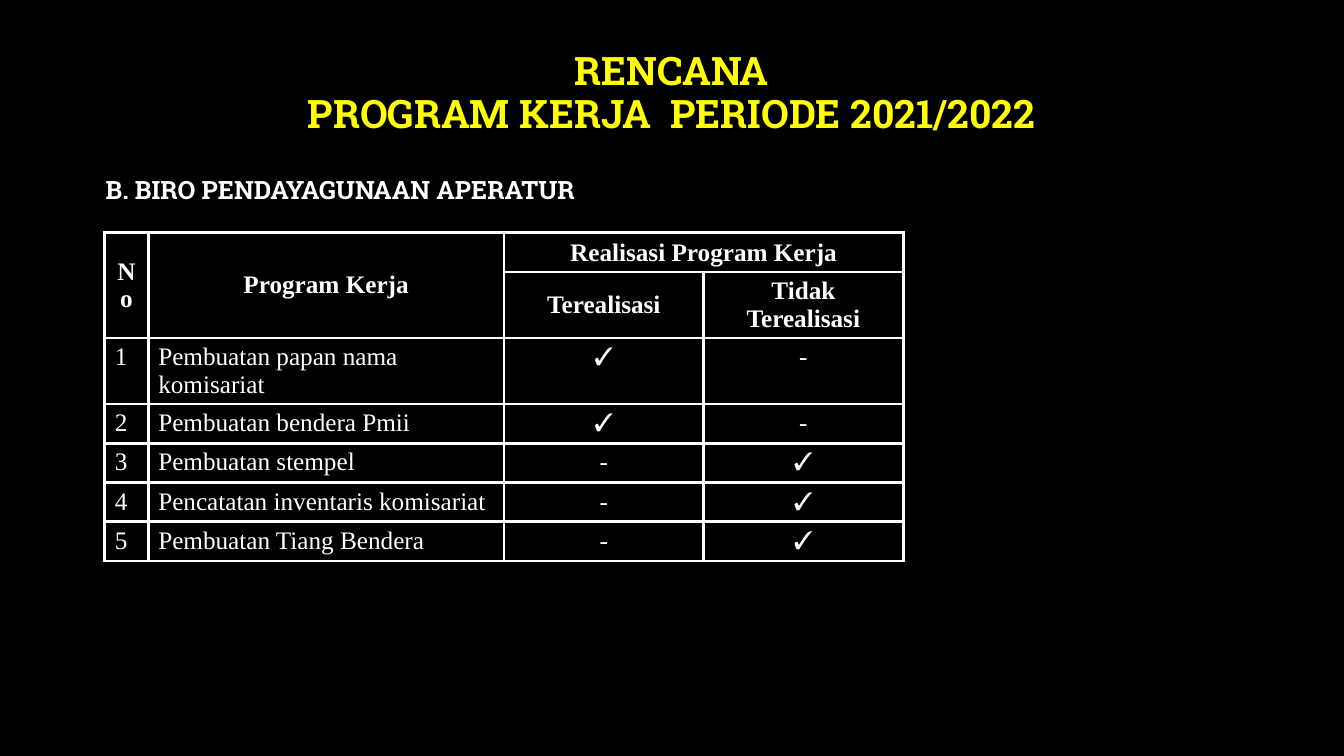
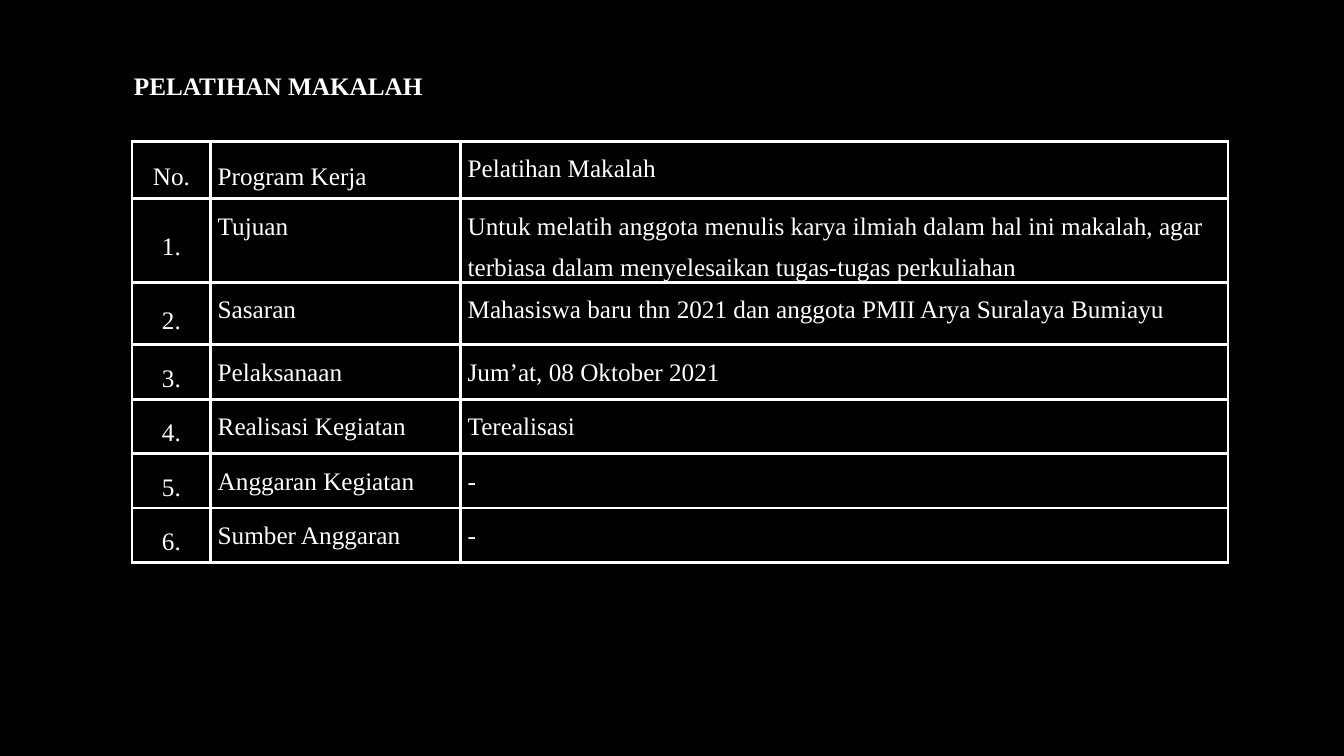
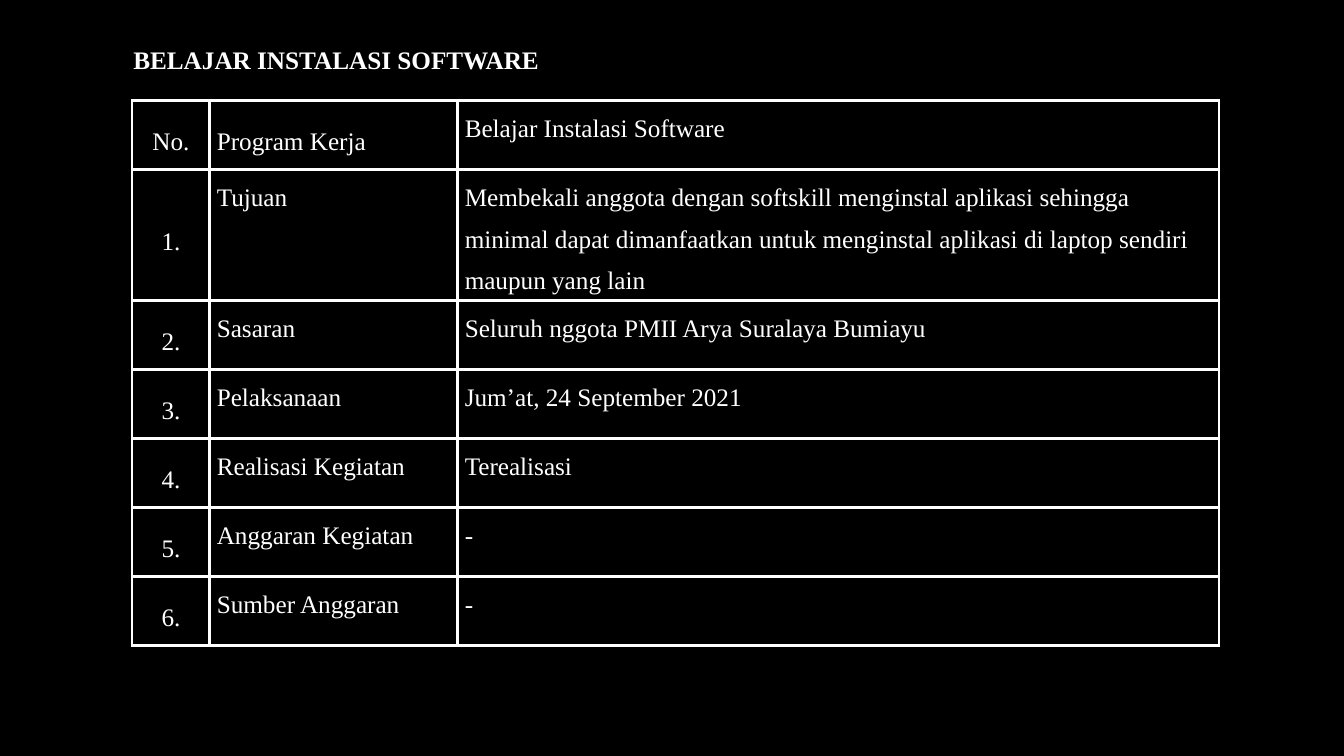
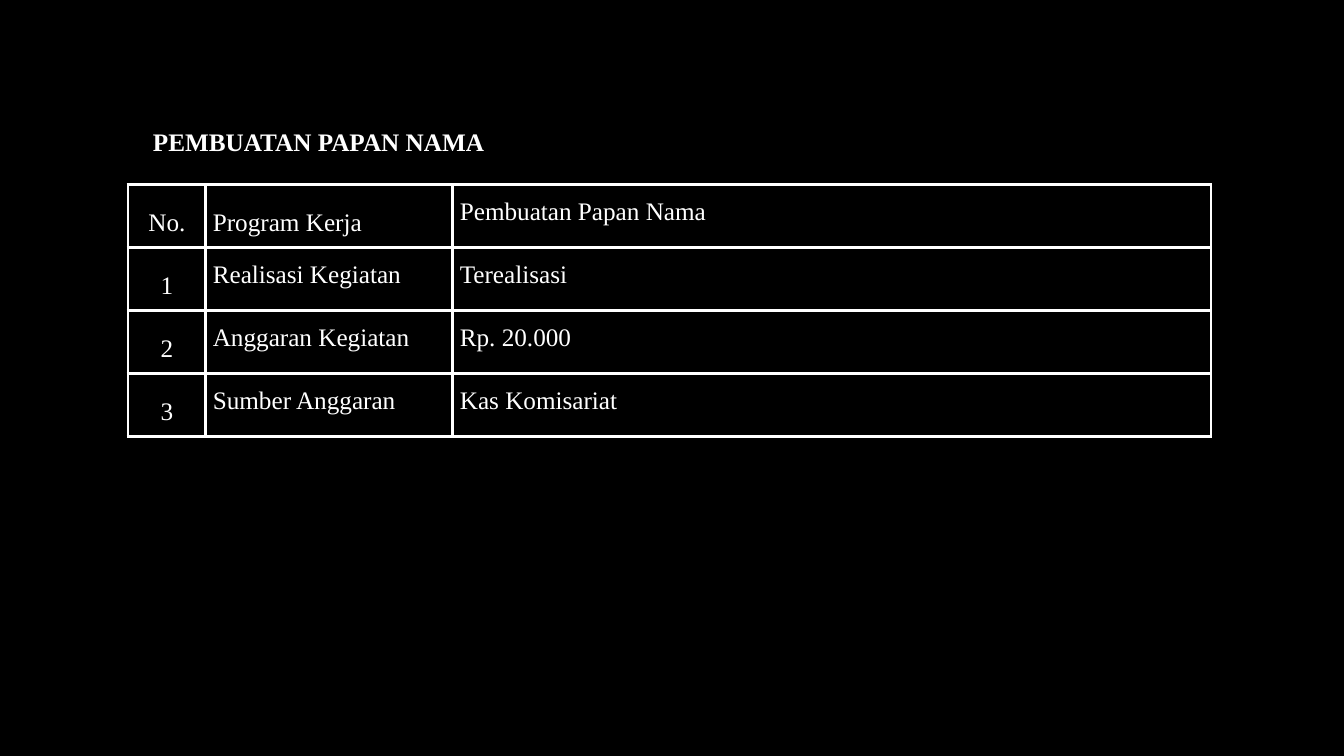
from copy import deepcopy
from dataclasses import dataclass

from lxml import etree
from pptx import Presentation
from pptx.dml.color import RGBColor
from pptx.enum.text import MSO_ANCHOR, MSO_AUTO_SIZE, PP_ALIGN
from pptx.oxml.ns import qn
from pptx.util import Inches, Pt

TOP, MIDDLE = MSO_ANCHOR.TOP, MSO_ANCHOR.MIDDLE
LEFT, CENTER = PP_ALIGN.LEFT, PP_ALIGN.CENTER
NO_FIT = MSO_AUTO_SIZE.NONE

BLACK = RGBColor(0x00, 0x00, 0x00)
WHITE = RGBColor(0xFF, 0xFF, 0xFF)
YELLOW = RGBColor(0xFF, 0xFF, 0x00)

SLIDE_W, SLIDE_H = Inches(13.33), Inches(7.5)
TITLE_ONLY = 5
BORDER = Pt(2.25)

BODY_FONT = dict(name="Times New Roman", size=Pt(18), bold=False)
BOLD_FONT = BODY_FONT | dict(bold=True)
SLAB_FONT = BOLD_FONT | dict(name="Roboto Slab")
BANNER_FONT = SLAB_FONT | dict(size=Pt(28))

HEADING_PARA = dict(alignment=CENTER, line_spacing=0.9, space_before=Pt(0))
REPORT_PARA = dict(line_spacing=1.5, space_after=Pt(8))
REPORT_MARGINS = dict(margin_left=Inches(0.07), margin_right=Inches(0.07),
                      margin_top=0, margin_bottom=0)


@dataclass(frozen=True)
class Box:
    x: float
    y: float
    w: float
    h: float


@dataclass(frozen=True)
class Grid:
    x: float
    y: float
    cols: list[float]
    rows: list[float]


@dataclass(frozen=True)
class Report:
    title: str
    box: Box
    grid: Grid
    cells: list[tuple[str, str, str]]


PLAN_TITLE = "RENCANA\vPROGRAM KERJA  PERIODE 2021/2022"
PLAN_SECTION = "B. BIRO PENDAYAGUNAAN APERATUR"
PLAN_GRID = Grid(7.8, 30.8, [3.23, 26.48, 14.85, 14.85],
                 [5.2, 8.67, 8.67] + [5.2] * 4)
PLAN_CELLS = [
    ("No", "Program Kerja", "Realisasi Program Kerja", ""),
    ("", "", "Terealisasi", "Tidak Terealisasi"),
    ("1", "Pembuatan papan nama komisariat", "✓", "-"),
    ("2", "Pembuatan bendera Pmii", "✓", "-"),
    ("3", "Pembuatan stempel", "-", "✓"),
    ("4", "Pencatatan inventaris komisariat", "-", "✓"),
    ("5", "Pembuatan Tiang Bendera", "-", "✓"),
]
PLAN_MERGES = [((0, 0), (1, 0)), ((0, 1), (1, 1)), ((0, 2), (0, 3))]

REPORTS = [
    Report(
        "PELATIHAN MAKALAH",
        Box(7.8, 6.13, 25.81, 10.8),
        Grid(9.83, 18.67, [5.85, 18.6, 57.09], [7.6, 11.07, 8.27] + [7.2] * 4),
        [
            ("No.", "Program Kerja", "Pelatihan Makalah"),
            ("1.", "Tujuan", "Untuk melatih anggota menulis karya ilmiah dalam hal ini "
             "makalah, agar terbiasa dalam menyelesaikan tugas-tugas perkuliahan"),
            ("2.", "Sasaran",
             "Mahasiswa baru thn 2021 dan anggota PMII Arya Suralaya Bumiayu"),
            ("3.", "Pelaksanaan", "Jum’at, 08 Oktober 2021"),
            ("4.", "Realisasi Kegiatan", "Terealisasi"),
            ("5.", "Anggaran Kegiatan", "-"),
            ("6.", "Sumber Anggaran", "-"),
        ],
    ),
    Report(
        "BELAJAR INSTALASI SOFTWARE",
        Box(8.4, 2.67, 33.23, 10.8),
        Grid(9.83, 13.33, [5.78, 18.45, 56.64], [9.13, 17.33] + [9.13] * 5),
        [
            ("No.", "Program Kerja", "Belajar Instalasi Software"),
            ("1.", "Tujuan", "Membekali anggota dengan softskill menginstal aplikasi "
             "sehingga minimal dapat dimanfaatkan untuk menginstal aplikasi di laptop "
             "sendiri maupun yang lain"),
            ("2.", "Sasaran", "Seluruh nggota PMII Arya Suralaya Bumiayu"),
            ("3.", "Pelaksanaan", "Jum’at, 24 September 2021"),
            ("4.", "Realisasi Kegiatan", "Terealisasi"),
            ("5.", "Anggaran Kegiatan", "-"),
            ("6.", "Sumber Anggaran", "-"),
        ],
    ),
    Report(
        "PEMBUATAN PAPAN NAMA",
        Box(8.4, 13.6, 30.61, 10.8),
        Grid(9.53, 24.4, [5.78, 18.38, 56.41], [8.33] * 4),
        [
            ("No.", "Program Kerja", "Pembuatan Papan Nama"),
            ("1", "Realisasi Kegiatan", "Terealisasi"),
            ("2", "Anggaran Kegiatan", "Rp. 20.000"),
            ("3", "Sumber Anggaran", "Kas Komisariat"),
        ],
    ),
]


def across(percent: float) -> int:
    return round(SLIDE_W * percent / 100)


def down(percent: float) -> int:
    return round(SLIDE_H * percent / 100)


def apply(target, values: dict) -> None:
    for name, value in values.items():
        setattr(target, name, value)


def write(tf, text: str, font: dict, para: dict, color: RGBColor = WHITE) -> None:
    p = tf.paragraphs[0]
    p.text = text
    apply(p, para)
    for r in p.runs:
        apply(r.font, font)
        r.font.color.rgb = color
    for br in p._p.findall(qn("a:br")):
        br.append(deepcopy(p._p.find(qn("a:r")).find(qn("a:rPr"))))


def draw_heading(sp, text: str, box: Box, font: dict, color: RGBColor = WHITE) -> None:
    apply(sp, dict(left=across(box.x), top=down(box.y),
                   width=across(box.w), height=down(box.h)))
    tf = sp.text_frame
    apply(tf, dict(word_wrap=True, auto_size=NO_FIT, vertical_anchor=MIDDLE))
    write(tf, text, font, HEADING_PARA, color)


def draw_borders(cell) -> None:
    tc_pr = cell._tc.get_or_add_tcPr()
    for side in ("a:lnL", "a:lnR", "a:lnT", "a:lnB"):
        ln = etree.SubElement(tc_pr, qn(side), w=str(BORDER))
        fill = etree.SubElement(ln, qn("a:solidFill"))
        etree.SubElement(fill, qn("a:srgbClr"), val=str(WHITE))


def draw_table(slide, grid: Grid, merges: list = ()):
    table = slide.shapes.add_table(
        len(grid.rows), len(grid.cols), across(grid.x), down(grid.y),
        across(sum(grid.cols)), down(sum(grid.rows))).table
    apply(table, dict(first_row=False, horz_banding=False))
    for col, width in zip(table.columns, grid.cols):
        col.width = across(width)
    for row, height in zip(table.rows, grid.rows):
        row.height = down(height)
    for cell in table.iter_cells():
        draw_borders(cell)
        cell.fill.solid()
        cell.fill.fore_color.rgb = BLACK
    for first, last in merges:
        table.cell(*first).merge(table.cell(*last))
    return table


def draw_plan(prs) -> None:
    slide = prs.slides.add_slide(prs.slide_layouts[TITLE_ONLY])
    draw_heading(slide.shapes.title, PLAN_TITLE, Box(17.93, 4.93, 64.07, 15.07),
                 BANNER_FONT, YELLOW)
    table = draw_table(slide, PLAN_GRID, PLAN_MERGES)
    for i, texts in enumerate(PLAN_CELLS):
        header = i < 2
        for j, text in enumerate(texts):
            cell = table.cell(i, j)
            if cell.is_spanned:
                continue
            cell.vertical_anchor = MIDDLE if header else TOP
            write(cell.text_frame, text, BOLD_FONT if header else BODY_FONT,
                  dict(alignment=CENTER if header or j > 1 else LEFT))
    sp = slide.shapes.add_textbox(0, 0, 0, 0)
    draw_heading(sp, PLAN_SECTION, Box(4.73, 20.13, 41.19, 10.4), SLAB_FONT)


def draw_report(prs, report: Report) -> None:
    slide = prs.slides.add_slide(prs.slide_layouts[TITLE_ONLY])
    draw_heading(slide.shapes.title, report.title, report.box, BOLD_FONT)
    table = draw_table(slide, report.grid)
    for i, texts in enumerate(report.cells):
        for j, text in enumerate(texts):
            cell = table.cell(i, j)
            apply(cell, REPORT_MARGINS)
            cell.vertical_anchor = MIDDLE if j == 0 or (i == 0 and j == 1) else TOP
            write(cell.text_frame, text, BODY_FONT,
                  REPORT_PARA | dict(alignment=LEFT if j else CENTER))


def main() -> None:
    prs = Presentation()
    apply(prs, dict(slide_width=SLIDE_W, slide_height=SLIDE_H))
    fill = prs.slide_master.background.fill
    fill.solid()
    fill.fore_color.rgb = BLACK
    draw_plan(prs)
    for report in REPORTS:
        draw_report(prs, report)
    prs.save("out.pptx")


if __name__ == "__main__":
    main()
